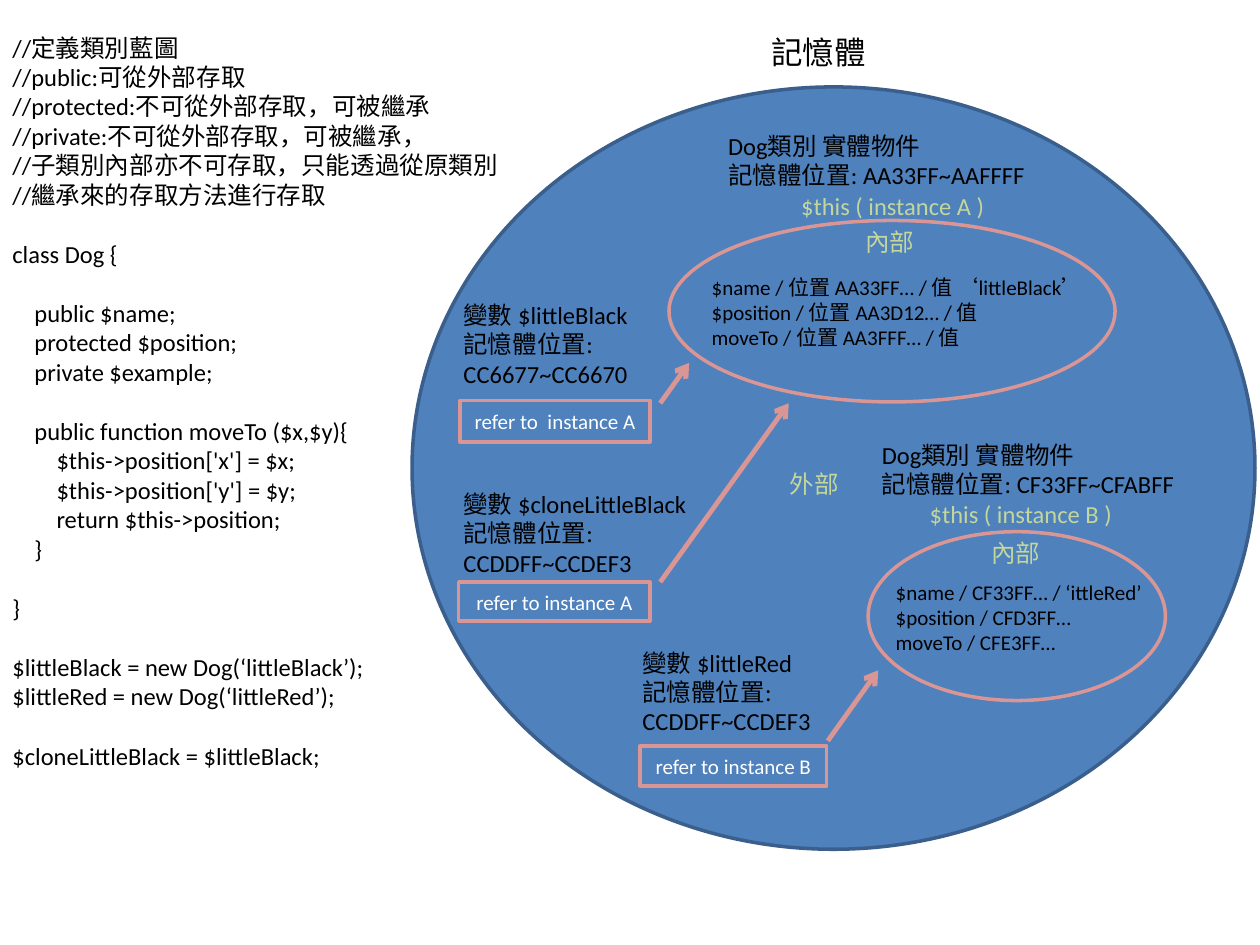
from lxml import etree
from pptx import Presentation
from pptx.dml.color import RGBColor
from pptx.enum.shapes import MSO_CONNECTOR, MSO_SHAPE
from pptx.enum.text import MSO_ANCHOR, PP_ALIGN
from pptx.oxml.ns import qn
from pptx.util import Inches, Pt

BLUE = RGBColor(0x4F, 0x81, 0xBD)
DARK_BLUE = RGBColor(0x3A, 0x5F, 0x8C)
PINK = RGBColor(0xD9, 0x96, 0x94)
GREEN = RGBColor(0xC3, 0xD6, 0x9B)
BLACK = RGBColor(0, 0, 0)
WHITE = RGBColor(0xFF, 0xFF, 0xFF)


class MemoryDiagram:
    font_name = "Calibri"
    line_width = Pt(2)
    arrow_width = Pt(2.75)
    indent = 0.175  # one code level, in inches
    code_gap = Pt(17)  # one empty line of code

    def __init__(self, slide):
        self.slide = slide

    def add_text(self, paragraph, text, size, color):
        run = paragraph.add_run()
        run.text = text
        run.font.name = self.font_name
        run.font.size = Pt(size)
        run.font.color.rgb = color

    def title(self, text, left, top, width, height):
        shape = self.slide.shapes.title
        shape.left, shape.top = Inches(left), Inches(top)
        shape.width, shape.height = Inches(width), Inches(height)
        shape.text_frame.vertical_anchor = MSO_ANCHOR.TOP
        paragraph = shape.text_frame.paragraphs[0]
        paragraph.alignment = PP_ALIGN.LEFT
        self.add_text(paragraph, text, 18, BLACK)

    def text_box(self, lines, left, top, width, height, size=14, color=BLACK):
        shape = self.slide.shapes.add_textbox(
            Inches(left), Inches(top), Inches(width), Inches(height))
        frame = shape.text_frame
        frame.word_wrap = True
        for index, line in enumerate(lines):
            paragraph = frame.add_paragraph() if index else frame.paragraphs[0]
            self.add_text(paragraph, line, size, color)
        return shape

    def code(self, blocks, left, top, width, height):
        """Each block is a list of (level, text); a gap precedes later blocks."""
        lines = [line for block in blocks for line in block]
        shape = self.text_box([text for _, text in lines], left, top, width, height)
        paragraphs = iter(shape.text_frame.paragraphs)
        for block_index, block in enumerate(blocks):
            for line_index, (level, _) in enumerate(block):
                paragraph = next(paragraphs)
                if block_index and line_index == 0:
                    paragraph.space_before = self.code_gap
                if level:
                    properties = paragraph._p.get_or_add_pPr()
                    properties.set("marL", str(Inches(level * self.indent)))

    def outline(self, kind, left, top, width, height, fill=None, line=PINK):
        shape = self.slide.shapes.add_shape(
            kind, Inches(left), Inches(top), Inches(width), Inches(height))
        shape.shadow.inherit = False
        if fill is None:
            shape.fill.background()
        else:
            shape.fill.solid()
            shape.fill.fore_color.rgb = fill
        shape.line.color.rgb = line
        shape.line.width = self.line_width
        return shape

    def reference(self, text, left, top, width, height):
        shape = self.outline(MSO_SHAPE.RECTANGLE, left, top, width, height, BLUE)
        frame = shape.text_frame
        frame.word_wrap = False
        frame.vertical_anchor = MSO_ANCHOR.MIDDLE
        frame.paragraphs[0].alignment = PP_ALIGN.CENTER
        self.add_text(frame.paragraphs[0], text, 12, WHITE)

    def arrow(self, start, end):
        connector = self.slide.shapes.add_connector(
            MSO_CONNECTOR.STRAIGHT, *map(Inches, start + end))
        connector.line.color.rgb = PINK
        connector.line.width = self.arrow_width
        etree.SubElement(connector.line._get_or_add_ln(), qn("a:tailEnd"), type="arrow")
        etree.SubElement(connector._element.spPr, qn("a:effectLst"))


presentation = Presentation()
presentation.slide_width, presentation.slide_height = Inches(10), Inches(7.5)
slide = presentation.slides.add_slide(presentation.slide_layouts[5])
diagram = MemoryDiagram(slide)

# Memory
diagram.outline(MSO_SHAPE.OVAL, 3.27, 0.69, 6.69, 6.05, BLUE, DARK_BLUE)
diagram.title("記憶體", 6.02, 0.21, 1.02, 0.4)

# Source code
diagram.code([
    [(0, "//定義類別藍圖"),
     (0, "//public:可從外部存取"),
     (0, "//protected:不可從外部存取，可被繼承"),
     (0, "//private:不可從外部存取，可被繼承，"),
     (0, "//子類別內部亦不可存取，只能透過從原類別"),
     (0, "//繼承來的存取方法進行存取")],
    [(0, "class Dog {")],
    [(1, "public $name;"),
     (1, "protected $position;"),
     (1, "private $example;")],
    [(1, "public function moveTo ($x,$y){"),
     (2, "$this->position['x'] = $x;"),
     (2, "$this->position['y'] = $y;"),
     (2, "return $this->position;"),
     (1, "}")],
    [(0, "}")],
    [(0, "$littleBlack = new Dog(‘littleBlack’);"),
     (0, "$littleRed = new Dog(‘littleRed’);")],
    [(0, "$cloneLittleBlack = $littleBlack;")],
], 0, 0.21, 5.55, 6.46)

# Instances: outlines, addresses and members
diagram.outline(MSO_SHAPE.OVAL, 5.31, 1.75, 3.54, 1.44)
diagram.outline(MSO_SHAPE.OVAL, 6.89, 4.22, 2.36, 1.34)
for addresses, left, top in [("AA33FF~AAFFFF", 5.68, 0.99),
                             ("CF33FF~CFABFF", 6.9, 3.44)]:
    diagram.text_box(["Dog類別 實體物件", "記憶體位置: " + addresses],
                     left, top, 3.18, 0.57)
diagram.text_box(["$name / 位置 AA33FF… / 值 ‘littleBlack’",
                  "$position / 位置 AA3D12… / 值",
                  "moveTo / 位置 AA3FFF… / 值"], 5.55, 2.13, 4.09, 0.71, size=12)
diagram.text_box(["$name / CF33FF… / ‘ittleRed’",
                  "$position / CFD3FF…",
                  "moveTo / CFE3FF…"], 7.01, 4.55, 2.79, 0.71, size=12)

# Scope labels
for text, left, top, width in [("內部", 6.77, 1.75, 0.8),
                               ("外部", 6.17, 3.67, 0.8),
                               ("內部", 7.77, 4.22, 0.8),
                               ("$this ( instance A )", 6.26, 1.47, 2.05),
                               ("$this ( instance B )", 7.28, 3.91, 1.65)]:
    diagram.text_box([text], left, top, width, 0.34, color=GREEN)

# Variables
for name, addresses, left, top, width in [
        ("$littleBlack", "CC6677~CC6670", 3.58, 2.33, 1.57),
        ("$cloneLittleBlack", "CCDDFF~CCDEF3", 3.58, 3.83, 2.4),
        ("$littleRed", "CCDDFF~CCDEF3", 5, 5.09, 1.57)]:
    diagram.text_box(["變數 " + name, "記憶體位置: " + addresses],
                     left, top, width, 0.81)

# References and their arrows
diagram.reference("refer to  instance A", 3.65, 3.18, 1.51, 0.33)
diagram.reference("refer to instance A", 3.64, 4.62, 1.52, 0.31)
diagram.reference("refer to instance B", 5.08, 5.92, 1.48, 0.32)
for start, end in [((5.24, 3.2), (5.47, 2.88)),
                   ((5.24, 4.62), (6.26, 3.2)),
                   ((6.57, 5.88), (6.97, 5.32))]:
    diagram.arrow(start, end)

presentation.save("out.pptx")
